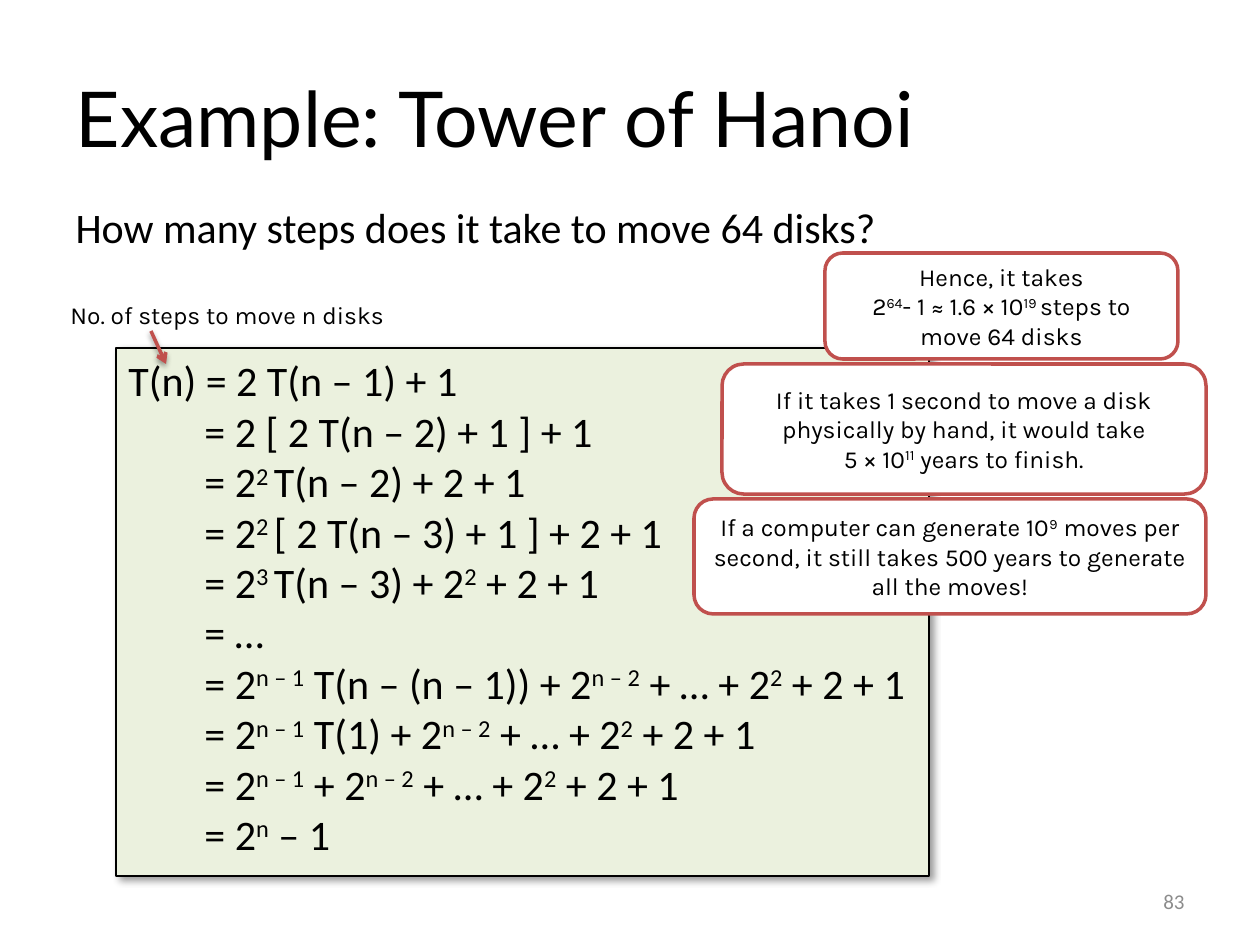
from lxml.etree import SubElement
from pptx import Presentation
from pptx.dml.color import RGBColor
from pptx.enum.shapes import MSO_CONNECTOR, MSO_SHAPE
from pptx.enum.text import MSO_ANCHOR, PP_ALIGN
from pptx.oxml.ns import qn
from pptx.util import Inches, Pt

PX = Inches(1) / 126

BLACK = RGBColor(0x00, 0x00, 0x00)
WHITE = RGBColor(0xFF, 0xFF, 0xFF)
GRAY = RGBColor(0x8C, 0x8C, 0x8C)
RED = RGBColor(0xC0, 0x50, 0x4D)
PALE_GREEN = RGBColor(0xEB, 0xF1, 0xDE)

# Content: text between carets is superscript
TITLE = "Example: Tower of Hanoi"
QUESTION = "How many steps does it take to move 64 disks?"
PAGE = "83"
STEPS_LABEL = "No. of steps to move n disks"
RECURRENCE = "T(n) = 2 T(n – 1) + 1"
DERIVATION = [
    "2 [ 2 T(n – 2) + 1 ] + 1",
    "2^2 ^T(n – 2) + 2 + 1",
    "2^2 ^[ 2 T(n – 3) + 1 ] + 2 + 1",
    "2^3 ^T(n – 3) + 2^2^ + 2 + 1",
    "…",
    "2^n – 1^ T(n – (n – 1)) + 2^n – 2^ + … + 2^2^ + 2 + 1",
    "2^n – 1^ T(1) + 2^n – 2^ + … + 2^2^ + 2 + 1",
    "2^n – 1^ + 2^n – 2^ + … + 2^2^ + 2 + 1",
    "2^n^ – 1",
]
CALLOUTS = [  # left, top, width, height, paragraphs
    (825, 253, 353, 106,
     ["Hence, it takes", "2^64^- 1 ≈ 1.6 × 10^19 ^steps to move 64 disks"]),
    (722, 364, 484, 130,
     ["If it takes 1 second to move a disk physically by hand, "
      "it would take\n5 × 10^11^ years to finish."]),
    (694, 499, 512, 115,
     ["If a computer can generate 10^9^ moves per second, "
      "it still takes 500 years to generate all the moves!"]),
]


def px(*lengths):
    return [round(length * PX) for length in lengths]


def write(shape, paragraphs, size, font="Calibri", color=BLACK,
          align=PP_ALIGN.LEFT, anchor=MSO_ANCHOR.TOP, wrap=True, tab=None):
    frame = shape.text_frame
    frame.word_wrap = wrap
    frame.vertical_anchor = anchor
    for number, text in enumerate(paragraphs):
        paragraph = frame.add_paragraph() if number else frame.paragraphs[0]
        paragraph.alignment = align
        paragraph.space_before = Pt(0)
        if tab:
            tabs = SubElement(paragraph._p.get_or_add_pPr(), qn("a:tabLst"))
            SubElement(tabs, qn("a:tab"), pos=str(tab), algn="l")
        for row, line in enumerate(text.split("\n")):
            if row:
                paragraph.add_line_break()
            for part, piece in enumerate(line.split("^")):
                if not piece:
                    continue
                run = paragraph.add_run()
                run.text = piece
                run.font.size = Pt(size)
                run.font.name = font
                run.font.color.rgb = color
                if part % 2:
                    run.font._element.set("baseline", "30000")


def add_box(kind, bounds, fill, line, weight):
    box = slide.shapes.add_shape(kind, *px(*bounds))
    box.shadow.inherit = False
    box.fill.solid()
    box.fill.fore_color.rgb = fill
    box.line.color.rgb = line
    box.line.width = Pt(weight)
    return box


def add_shadow(effects, blur, distance, angle, opacity):
    shadow = SubElement(effects, qn("a:outerShdw"), blurRad=str(Pt(blur)),
                        dist=str(Pt(distance)), dir=str(angle * 60000),
                        algn="tl", rotWithShape="0")
    color = SubElement(shadow, qn("a:srgbClr"), val=str(BLACK))
    SubElement(color, qn("a:alpha"), val=str(opacity * 1000))


def place(shape, bounds):
    shape.left, shape.top, shape.width, shape.height = px(*bounds)


presentation = Presentation()
presentation.slide_width, presentation.slide_height = px(1260, 945)
slide = presentation.slides.add_slide(presentation.slide_layouts[1])

# Title and question
title, question = slide.placeholders
place(title, (63, 38, 1134, 157))
write(title, [TITLE], 44, font="Lato", anchor=MSO_ANCHOR.MIDDLE)
place(question, (63, 195, 1134, 649))
bullet_format = question.text_frame.paragraphs[0]._p.get_or_add_pPr()
bullet_format.set("marL", "0")
bullet_format.set("indent", "0")
SubElement(bullet_format, qn("a:buNone"))
write(question, [QUESTION], 24)

# Page number
page = slide.shapes.add_textbox(*px(903, 876, 294, 50))
write(page, [PAGE], 12, color=GRAY, align=PP_ALIGN.RIGHT,
      anchor=MSO_ANCHOR.MIDDLE)

# Recurrence panel with the derivation lined up at one tab stop
panel = add_box(MSO_SHAPE.RECTANGLE, (116, 348, 813, 528),
                PALE_GREEN, BLACK, 0.75)
add_shadow(panel._element.spPr.find(qn("a:effectLst")), 4, 3, 45, 40)
write(panel, [RECURRENCE], 24)
derivation = slide.shapes.add_textbox(*px(129, 399, 813, 421))
write(derivation, [f"\t= {step}" for step in DERIVATION], 24, tab=Inches(0.5))

# Label and its arrow
steps_label = slide.shapes.add_textbox(*px(58, 294, 377, 43))
write(steps_label, [STEPS_LABEL], 14, font="Karla", wrap=False)
arrow = slide.shapes.add_connector(MSO_CONNECTOR.STRAIGHT,
                                   *px(151, 331, 166, 364))
arrow.line.color.rgb = RED
arrow.line.width = Pt(2)
SubElement(arrow.line._get_or_add_ln(), qn("a:tailEnd"), type="arrow")
add_shadow(SubElement(arrow._element.spPr, qn("a:effectLst")), 3.1, 1.6, 90, 38)

# Callouts
for *bounds, remarks in CALLOUTS:
    callout = add_box(MSO_SHAPE.ROUNDED_RECTANGLE, bounds, WHITE, RED, 2)
    write(callout, remarks, 14, font="Karla", align=PP_ALIGN.CENTER,
          anchor=MSO_ANCHOR.MIDDLE)

presentation.save("out.pptx")
